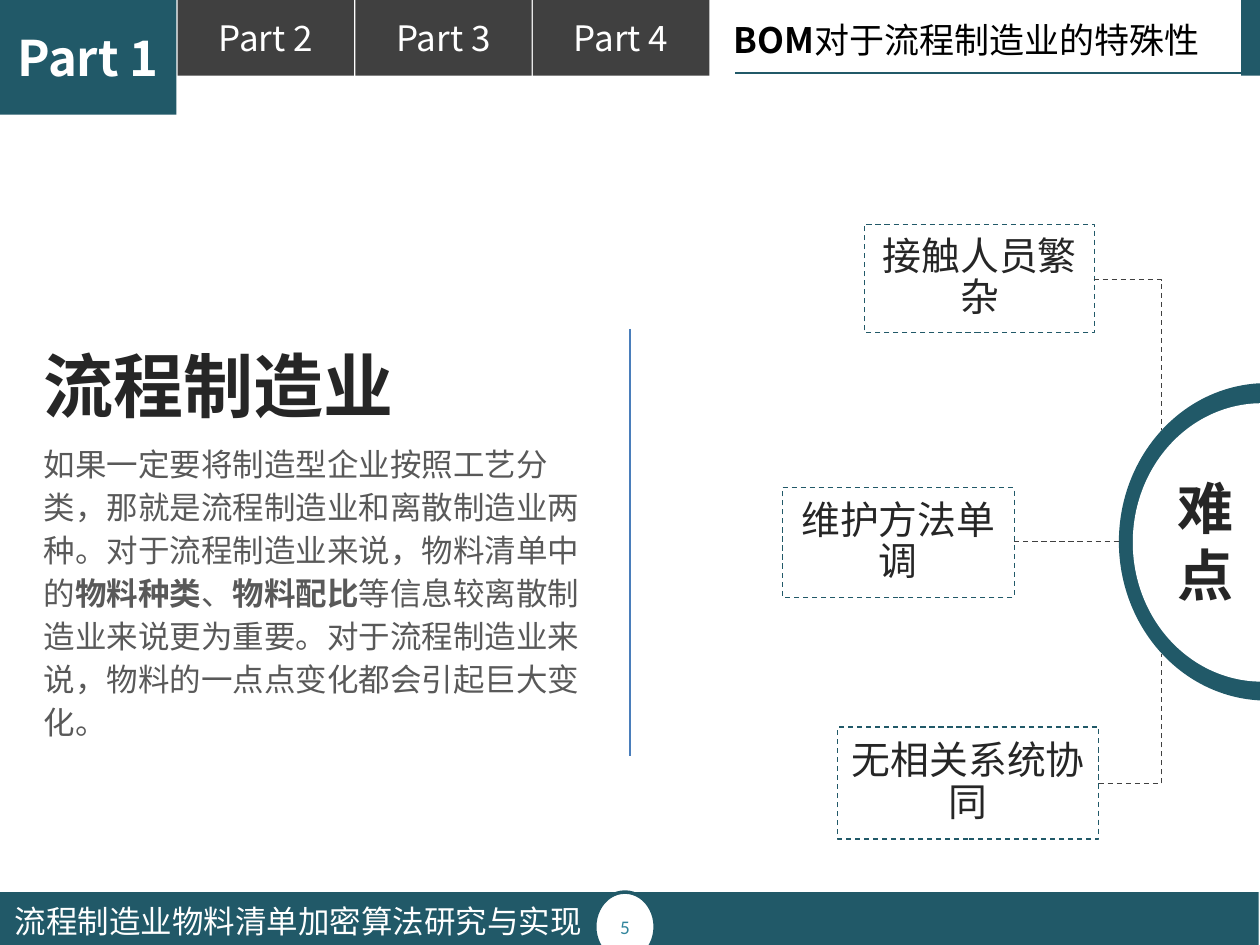
from dataclasses import dataclass

from lxml.etree import SubElement
from pptx import Presentation
from pptx.dml.color import RGBColor
from pptx.enum.dml import MSO_LINE
from pptx.enum.shapes import MSO_CONNECTOR, MSO_SHAPE
from pptx.enum.text import MSO_ANCHOR, MSO_AUTO_SIZE, PP_ALIGN
from pptx.oxml.ns import qn
from pptx.util import Inches, Pt


@dataclass(frozen=True)
class Theme:
    teal: str = "215968"
    dark: str = "404040"
    white: str = "FFFFFF"
    black: str = "000000"
    ink: str = "262626"
    grey: str = "595959"
    aqua: str = "31859C"
    blue: str = "4A7EBB"
    cjk: str = "Noto Sans CJK SC"
    latin: str = "Calibri"
    page: float = 11
    body: float = 18
    tab: float = 20
    item: float = 22.2
    active: float = 28
    hub: float = 32
    head: float = 40


@dataclass(frozen=True)
class Box:
    left: float
    top: float
    width: float
    height: float

    def emu(self) -> tuple:
        return tuple(map(Inches, (self.left, self.top, self.width, self.height)))


@dataclass(frozen=True)
class Issue:
    text: str
    box: Box
    start: tuple
    end: tuple
    bent: bool


T = Theme()
TABS = ["Part 1", "Part 2", "Part 3", "Part 4"]
PITCH = 1.41
ISSUES = [
    Issue("接触人员繁杂", Box(6.86, 1.78, 1.83, 0.86), (8.68, 2.22), (9.22, 3.41), True),
    Issue("维护方法单调", Box(6.21, 3.87, 1.84, 0.87), (8.05, 4.3), (8.88, 4.3), False),
    Issue("无相关系统协同", Box(6.65, 5.77, 2.07, 0.89), (8.72, 6.22), (9.22, 5.19), True),
]
BODY = [
    ("如果一定要将制造型企业按照工艺分类，那就是流程制造业和离散制造业两种。"
     "对于流程制造业来说，物料清单中的", False),
    ("物料种类", True),
    ("、", False),
    ("物料配比", True),
    ("等信息较离散制造业来说更为重要。对于流程制造业来说，"
     "物料的一点点变化都会引起巨大变化。", False),
]


def rgb(code: str) -> RGBColor:
    return RGBColor.from_string(code)


def write(shape, text, *, size: float, color: str, bold: bool = False,
          font: str = T.cjk, align=PP_ALIGN.LEFT, space: float = 1.0) -> None:
    """Fill one paragraph; text is a string or a list of (string, bold) runs."""
    para = shape.text_frame.paragraphs[0]
    para.alignment = align
    para.line_spacing = space
    para._p.get_or_add_pPr().set("hangingPunct", "0")
    runs = [(text, bold)] if isinstance(text, str) else text
    for words, heavy in runs:
        run = para.add_run()
        run.text = words
        run.font.size = Pt(size)
        run.font.bold = heavy
        run.font.color.rgb = rgb(color)
        run.font.name = font
        SubElement(run.font._element, qn("a:ea")).set("typeface", font)


def add_form(slide, kind, box: Box, fill: str, line: str = "",
             width: float = 0.75, dash: bool = False):
    shape = slide.shapes.add_shape(kind, *box.emu())
    shape.shadow.inherit = False
    shape.fill.solid()
    shape.fill.fore_color.rgb = rgb(fill)
    if line:
        shape.line.color.rgb = rgb(line)
        shape.line.width = Pt(width)
        if dash:
            shape.line.dash_style = MSO_LINE.DASH
    else:
        shape.line.fill.background()
    shape.text_frame.word_wrap = True
    shape.text_frame.vertical_anchor = MSO_ANCHOR.MIDDLE
    return shape


def add_label(slide, box: Box, text, *, wrap: bool = True, **form):
    label = slide.shapes.add_textbox(*box.emu())
    label.text_frame.word_wrap = wrap
    label.text_frame.auto_size = MSO_AUTO_SIZE.SHAPE_TO_FIT_TEXT
    write(label, text, **form)
    return label


def add_line(slide, start: tuple, end: tuple, color: str,
             dash: bool = False, bent: bool = False) -> None:
    kind = MSO_CONNECTOR.ELBOW if bent else MSO_CONNECTOR.STRAIGHT
    line = slide.shapes.add_connector(kind, *map(Inches, start + end))
    line.line.color.rgb = rgb(color)
    line.line.width = Pt(0.75)
    if dash:
        line.line.dash_style = MSO_LINE.DASH
    frame = line._element.spPr
    if bent:  # a single corner instead of two
        frame.find(qn("a:prstGeom")).set("prst", "bentConnector2")
    SubElement(frame, qn("a:effectLst"))


def draw_frame(slide) -> None:
    """Draw the tabs on top and the footer with the page number."""
    rect = MSO_SHAPE.RECTANGLE
    for i, name in enumerate(TABS):
        first = i == 0
        box = Box(i * PITCH, 0, 1.4, 0.91 if first else 0.6)
        tab = add_form(slide, rect, box, T.teal if first else T.dark)
        write(tab, name, size=T.active if first else T.tab, color=T.white,
              bold=first, align=PP_ALIGN.CENTER)
    add_form(slide, rect, Box(9.85, 0, 0.15, 0.6), T.teal)
    add_form(slide, rect, Box(0, 7.08, 9.99, 0.42), T.teal)
    page = add_form(slide, MSO_SHAPE.OVAL, Box(4.72, 7.08, 0.48, 0.55),
                    T.white, T.teal, 2)
    write(page, "5", size=T.page, color=T.aqua, font=T.latin,
          align=PP_ALIGN.CENTER)
    add_line(slide, (9.93, 0.58), (5.83, 0.58), T.teal)
    add_label(slide, Box(0.02, 7.11, 5.83, 0.4),
              "流程制造业物料清单加密算法研究与实现", size=T.body, color=T.white)
    title = add_label(slide, Box(5.65, 0.05, 5.57, 0.5),
                      [("BOM", True), ("对于流程制造业的特殊性", False)],
                      size=T.tab, color=T.black)
    title.text_frame.margin_left = Inches(0.17)
    title.text_frame.margin_top = Inches(0.1)


def draw_hub(slide) -> None:
    """Draw the ring on the right and the issues that hang on it."""
    add_form(slide, MSO_SHAPE.OVAL, Box(8.88, 3.04, 2.35, 2.52), T.teal)
    for issue in ISSUES:
        card = add_form(slide, MSO_SHAPE.RECTANGLE, issue.box, T.white,
                        T.teal, dash=True)
        write(card, issue.text, size=T.item, color=T.ink,
              align=PP_ALIGN.CENTER, space=0.9)
        add_line(slide, issue.start, issue.end, T.dark, True, issue.bent)
    add_form(slide, MSO_SHAPE.OVAL, Box(8.99, 3.2, 2.05, 2.21), T.white)
    add_label(slide, Box(9.12, 3.71, 0.89, 1.17), "难点", size=T.hub,
              color=T.ink, bold=True, align=PP_ALIGN.CENTER)


def draw_text(slide) -> None:
    add_line(slide, (5, 2.61), (5, 6), T.blue)
    add_label(slide, Box(0.25, 3.44, 4.51, 2.15), BODY, size=T.body,
              color=T.grey, space=1.14)
    add_label(slide, Box(0.25, 2.67, 3, 0.77), "流程制造业", wrap=False,
              size=T.head, color=T.ink, bold=True)


def main() -> None:
    deck = Presentation()
    deck.slide_width, deck.slide_height = Inches(10), Inches(7.5)
    slide = deck.slides.add_slide(deck.slide_layouts[6])
    draw_frame(slide)
    draw_hub(slide)
    draw_text(slide)
    deck.save("out.pptx")


if __name__ == "__main__":
    main()
